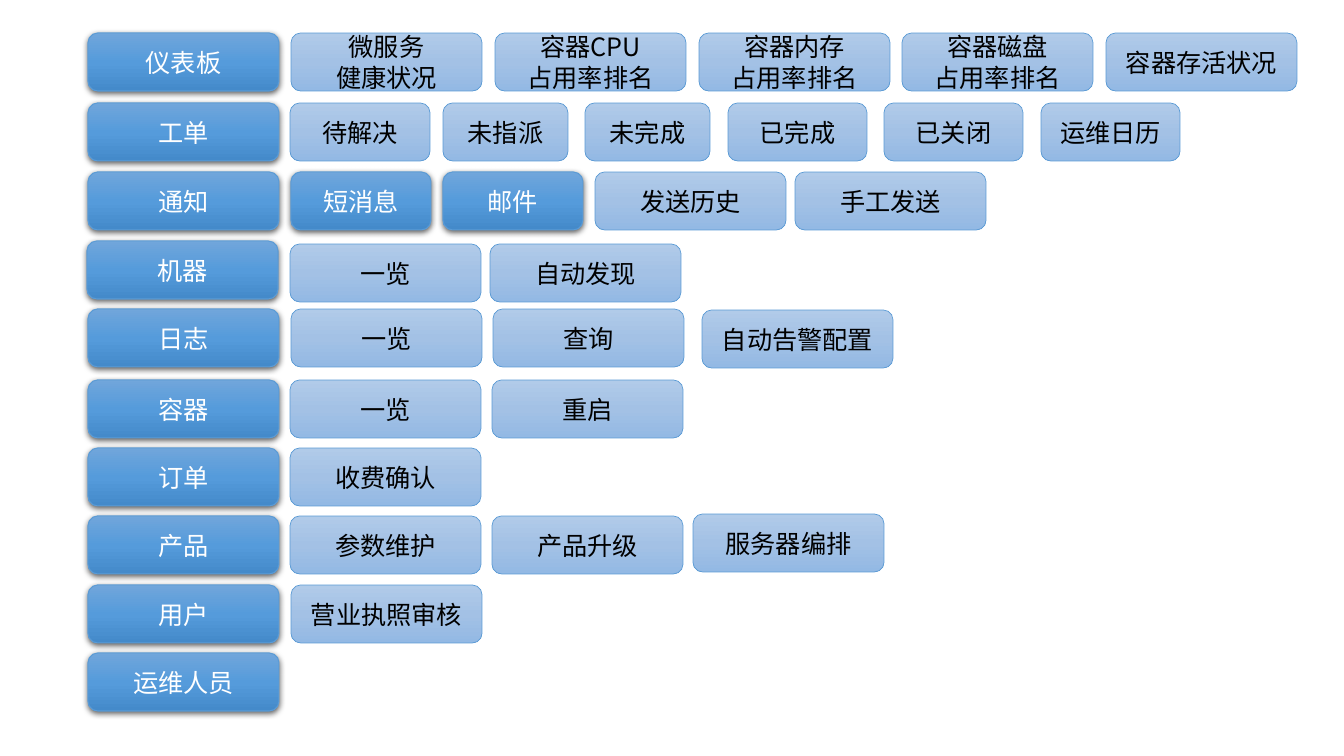
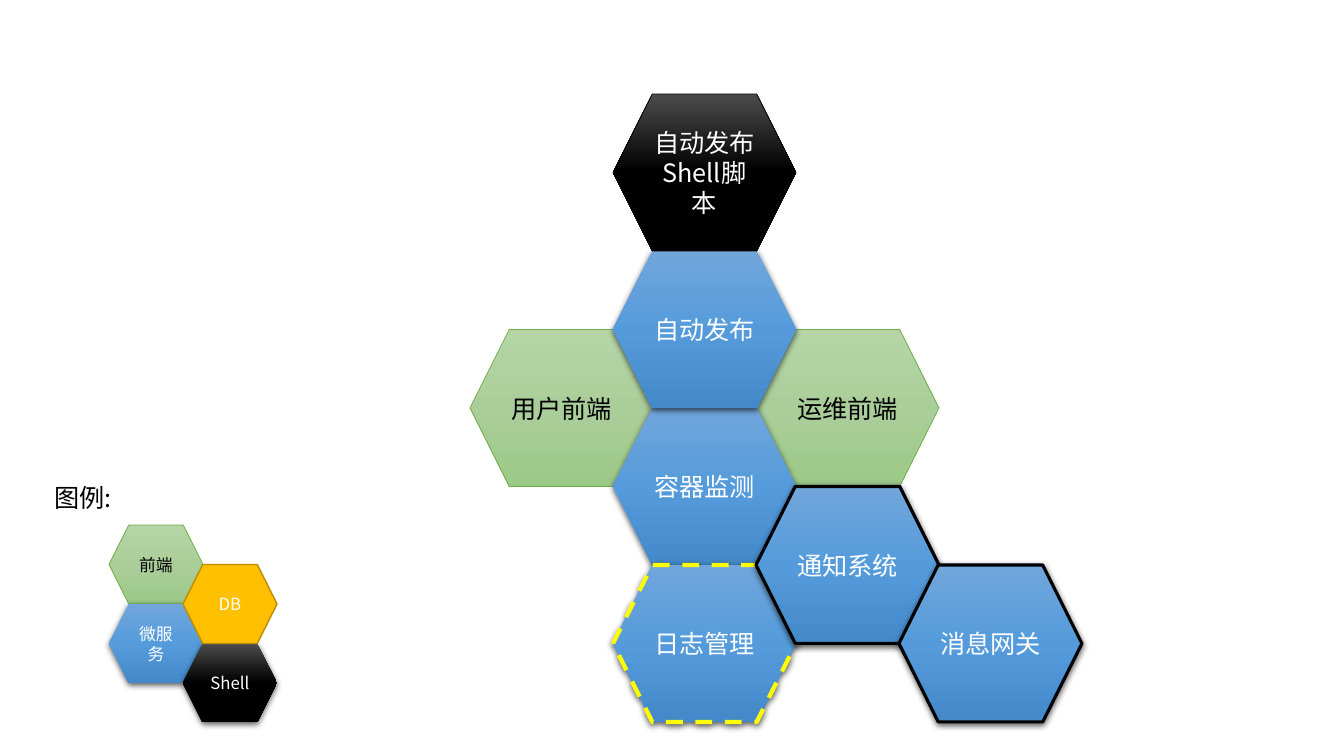
from copy import deepcopy
from pptx import Presentation
from pptx.dml.color import RGBColor
from pptx.enum.dml import MSO_LINE
from pptx.enum.shapes import MSO_SHAPE as SHAPE
from pptx.enum.text import MSO_ANCHOR, PP_ALIGN
from pptx.oxml.ns import qn
from pptx.util import Emu, Pt
from lxml.etree import SubElement

SCALE = 914400 / 100.8
FONT = "Noto Sans CJK SC"
rgb = RGBColor.from_string

BLUE = dict(fill=("71A6DB", "559BDB", "448ACA"), color="FFFFFF", shadow=True)
PALE = dict(fill=("B1CBE9", "A3C1E5", "93B9E4"), color="000000", line="5B9BD5", weight=0.5)
GREEN = dict(fill=("B5D5A7", "AACE9A", "9CC987"), color="000000", line="70AD47", weight=0.5)
BLACK = dict(fill=("4B4B4B", "000000", "000000"), color="FFFFFF")
GOLD = dict(fill=("FFC000",), color="FFFFFF", line="BD8E00", weight=1)
PLAIN = dict(fill=("FFFFFF",), color="000000")
MODULE = BLUE | dict(line="5B9BD5", weight=0.75)
OUTLINED = BLUE | dict(line="000000", weight=2.25)
DASHED = BLUE | dict(line="FFFF00", weight=3, dash=MSO_LINE.DASH)


def px(n):
    return Emu(round(n * SCALE))


def block(s, kind, text, x, y, w, h, *, fill, color, size=18,
          line=None, weight=1, dash=None, shadow=False):
    sp = s.shapes.add_shape(kind, px(x), px(y), px(w), px(h))
    sp.shadow.inherit = False
    if shadow:
        effects = sp._element.spPr.find(qn("a:effectLst"))
        outer = SubElement(effects, qn("a:outerShdw"), blurRad=str(Pt(4.5)), dist=str(Pt(1.5)),
                           dir="5400000", algn="ctr", rotWithShape="0")
        black = SubElement(outer, qn("a:srgbClr"), val="000000")
        SubElement(black, qn("a:alpha"), val="63000")
    if len(fill) == 1:
        sp.fill.solid()
        sp.fill.fore_color.rgb = rgb(fill[0])
    else:
        sp.fill.gradient()
        sp.fill.gradient_angle = 270
        stops = sp._element.spPr.find(qn("a:gradFill")).find(qn("a:gsLst"))
        stops.append(deepcopy(stops[0]))
        for stop, position, tone in zip(sp.fill.gradient_stops, (0, 0.5, 1), fill):
            stop.position = position
            stop.color.rgb = rgb(tone)
    if line:
        sp.line.color.rgb = rgb(line)
        sp.line.width = Pt(weight)
        if dash:
            sp.line.dash_style = dash
    else:
        sp.line.fill.background()
    tf = sp.text_frame
    tf.word_wrap = True
    tf.vertical_anchor = MSO_ANCHOR.MIDDLE
    for i, words in enumerate(text.split("\n")):
        p = tf.add_paragraph() if i else tf.paragraphs[0]
        p.alignment = PP_ALIGN.CENTER
        r = p.add_run()
        r.text = words
        r.font.size = Pt(size)
        r.font.name = FONT
        r.font.color.rgb = rgb(color)
        SubElement(r._r.get_or_add_rPr(), qn("a:ea"), typeface=FONT)


prs = Presentation()
prs.slide_width, prs.slide_height = px(1344), px(756)
blank = prs.slide_layouts[6]

s = prs.slides.add_slide(blank)
WIDE = 191
cards = [
    (33, WIDE, MODULE, [(88, "仪表板")]),
    (33, WIDE, PALE, [(291, "微服务\n健康状况"), (495, "容器CPU\n占用率排名"),
                      (699, "容器内存\n占用率排名"), (902, "容器磁盘\n占用率排名"),
                      (1106, "容器存活状况")]),
    (103, WIDE, MODULE, [(88, "工单")]),
    (103, 140, PALE, [(290, "待解决")]),
    (103, 125, PALE, [(443, "未指派"), (585, "未完成")]),
    (103, 139, PALE, [(728, "已完成"), (884, "已关闭"), (1041, "运维日历")]),
    (172, WIDE, MODULE, [(88, "通知")]),
    (172, 140, MODULE, [(291, "短消息"), (443, "邮件")]),
    (172, WIDE, PALE, [(595, "发送历史"), (795, "手工发送")]),
    (241, WIDE, MODULE, [(87, "机器")]),
    (244, WIDE, PALE, [(290, "一览"), (490, "自动发现")]),
    (309, WIDE, MODULE, [(88, "日志")]),
    (309, WIDE, PALE, [(291, "一览"), (493, "查询")]),
    (310, WIDE, PALE, [(702, "自动告警配置")]),
    (380, WIDE, MODULE, [(88, "容器")]),
    (380, WIDE, PALE, [(290, "一览"), (492, "重启")]),
    (448, WIDE, MODULE, [(88, "订单")]),
    (448, WIDE, PALE, [(290, "收费确认")]),
    (516, WIDE, MODULE, [(88, "产品")]),
    (516, WIDE, PALE, [(290, "参数维护"), (492, "产品升级")]),
    (514, WIDE, PALE, [(693, "服务器编排")]),
    (585, WIDE, MODULE, [(88, "用户")]),
    (585, WIDE, PALE, [(291, "营业执照审核")]),
    (653, WIDE, MODULE, [(88, "运维人员")]),
]
for top, width, style, items in cards:
    for left, text in items:
        block(s, SHAPE.ROUNDED_RECTANGLE, text, left, top, width, 58, **style)

s = prs.slides.add_slide(blank)
block(s, SHAPE.RECTANGLE, "图例:", 43, 479, 80, 36, **PLAIN)

legend = [
    ("前端", 0, 0, GREEN),
    ("微服务", 0, 2, BLUE),
    ("Shell", 1, 3, BLACK | dict(shadow=True)),
    ("DB", 1, 1, GOLD),
]
system = [
    ("用户前端", 0, 3, GREEN),
    ("运维前端", 2, 3, GREEN),
    ("容器监测", 1, 4, BLUE),
    ("自动发布", 1, 2, BLUE),
    ("日志管理", 1, 6, DASHED),
    ("自动发布\nShell脚本", 1, 0, BLACK | dict(line="000000", weight=0.5)),
    ("通知系统", 2, 5, OUTLINED),
    ("消息网关", 3, 6, OUTLINED),
]
honeycombs = [
    (legend, 109, 525, 94, 79, 74, 12),
    (system, 470, 94, 183, 157, 143, 18),
]
for cells, left, top, width, height, step, size in honeycombs:
    for text, column, half_row, style in cells:
        block(s, SHAPE.HEXAGON, text, left + column * step, top + half_row * height / 2,
              width, height, size=size, **style)

prs.save("out.pptx")
